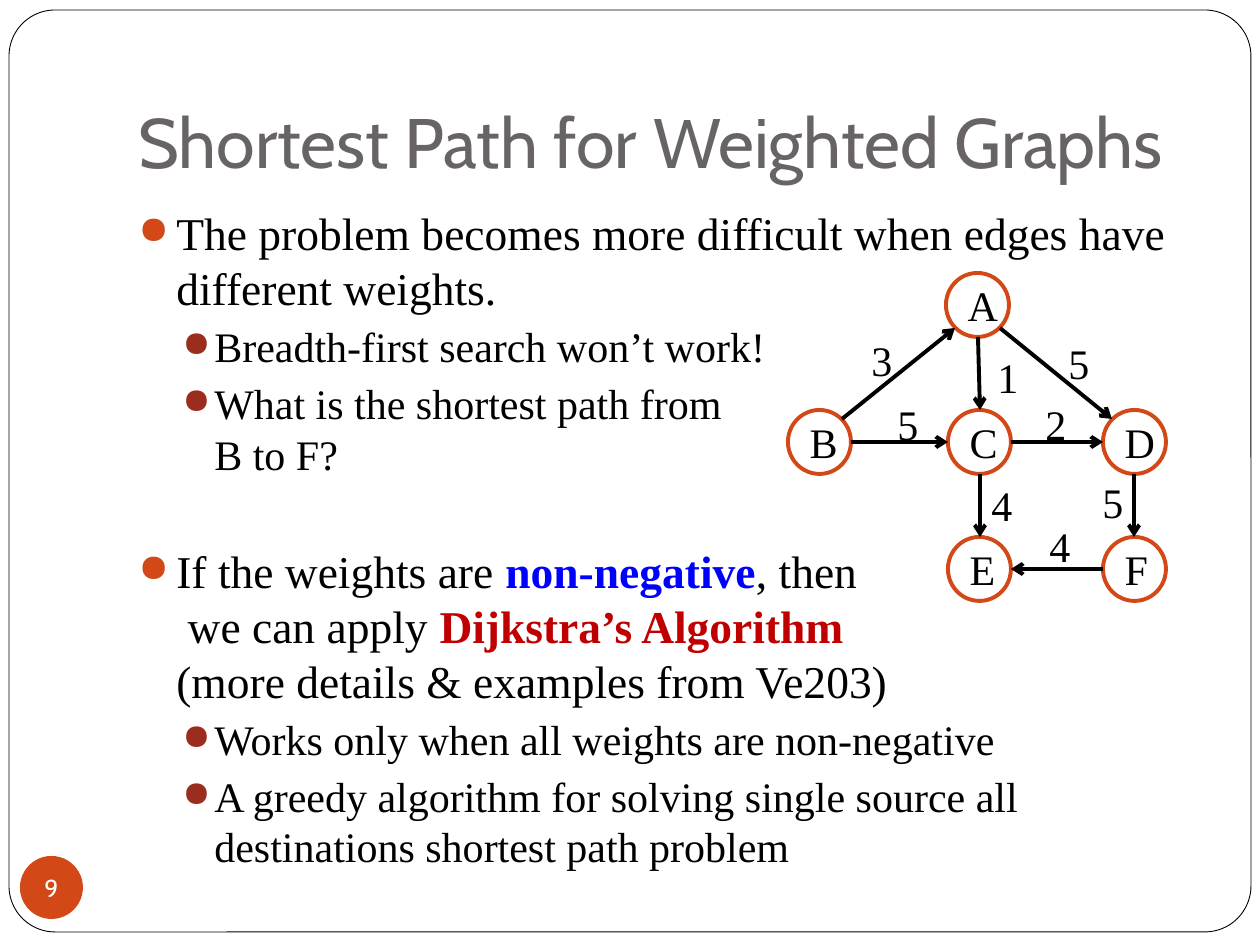
from lxml.etree import SubElement
from pptx import Presentation
from pptx.dml.color import RGBColor
from pptx.enum.shapes import MSO_CONNECTOR as Connector, MSO_SHAPE as Shape
from pptx.enum.text import MSO_ANCHOR as Anchor, MSO_AUTO_SIZE as AutoSize, PP_ALIGN as Align
from pptx.oxml.ns import qn
from pptx.util import Emu, Pt

WHITE = RGBColor(0xFF, 0xFF, 0xFF)
BLACK = RGBColor(0, 0, 0)
GREY = RGBColor(0x69, 0x64, 0x64)
ORANGE = RGBColor(0xD3, 0x48, 0x17)
BRICK = RGBColor(0x9B, 0x2D, 0x1F)
BLUE = RGBColor(0, 0, 0xFF)
RED = RGBColor(0xC0, 0, 0)

HEADING_FONT = "Cabin"
BODY_FONT = "Times New Roman"
EMU_PER_PX = 914400 / 126
NODE_WIDTH, NODE_HEIGHT = 63, 64
LABEL_WIDTH, LABEL_HEIGHT = 45, 63

LEVELS = [
    dict(size=26, indent=38, hang=38, before=5.8, bullet=ORANGE),
    dict(size=24, indent=76, hang=32, before=3.7, bullet=BRICK),
]
POINTS = [
    (0, 0, [("The problem becomes more difficult when edges have different weights.", BLACK)]),
    (1, 0, [("Breadth-first search won’t work!", BLACK)]),
    (1, 0, [("What is the shortest path from\nB to F?", BLACK)]),
    (0, 31.3, [
        ("If the weights are ", BLACK),
        ("non-negative", BLUE),
        (", then\n we can apply ", BLACK),
        ("Dijkstra’s Algorithm\n", RED),
        ("(more details & examples from Ve203)", BLACK),
    ]),
    (1, 0, [("Works only when all weights are non-negative", BLACK)]),
    (1, 0, [("A greedy algorithm for solving single source all "
             "destinations shortest path problem", BLACK)]),
]

LEFT, MIDDLE, RIGHT = 788, 948, 1103
UPPER, LOWER = 410, 537
NODES = {
    "A": (946, 273),
    "B": (LEFT, UPPER), "C": (MIDDLE, UPPER), "D": (RIGHT, UPPER),
    "E": (MIDDLE, LOWER), "F": (RIGHT, LOWER),
}
EDGES = [
    ("B", "A", (1, -1), "3", (859, 328)),
    ("A", "D", (1, 1), "5", (1056, 331)),
    ("B", "C", (1, 0), "5", (885, 392)),
    ("D", "F", (0, 1), "5", (1090, 470)),
    ("C", "D", (1, 0), "2", (1033, 392)),
    ("A", "C", (0, 1), "1", (985, 345)),
    ("F", "E", (-1, 0), "4", (1037, 514)),
    ("C", "E", (0, 1), "4", (979, 473)),
]


def px(length):
    return Emu(round(length * EMU_PER_PX))


def rim_point(node, direction, side):
    left, top = NODES[node]
    across, down = direction
    reach = side / (across ** 2 + down ** 2) ** 0.5
    return (round(left + NODE_WIDTH / 2 * (1 + across * reach)),
            round(top + NODE_HEIGHT / 2 * (1 + down * reach)))


class SlideBuilder:
    def __init__(self, slide):
        self.slide = slide

    def add_text(self, para, text, size, font=BODY_FONT, color=BLACK, bold=False):
        for index, line in enumerate(text.split("\n")):
            if index:
                para.add_line_break()
            if line:
                span = para.add_run()
                span.text = line
                span.font.size = Pt(size)
                span.font.name = font
                span.font.bold = bold
                span.font.color.rgb = color

    def shape(self, kind, left, top, width, height, fill=None, line=None, weight=1.0):
        box = self.slide.shapes.add_shape(kind, px(left), px(top), px(width), px(height))
        box.shadow.inherit = False
        if fill is None:
            box.fill.background()
        else:
            box.fill.solid()
            box.fill.fore_color.rgb = fill
        if line is None:
            box.line.fill.background()
        else:
            box.line.color.rgb = line
            box.line.width = Pt(weight)
        return box

    def frame(self):
        box = self.shape(Shape.ROUNDED_RECTANGLE, 9, 10, 1242, 922, WHITE, BLACK, 0.5)
        box.adjustments[0] = 0.05

    def text_box(self, left, top, width, height, wrap=True):
        box = self.slide.shapes.add_textbox(px(left), px(top), px(width), px(height))
        box.text_frame.word_wrap = wrap
        return box.text_frame

    def title(self, text):
        frame = self.text_box(126, 38, 1071, 157)
        frame.vertical_anchor = Anchor.BOTTOM
        frame.margin_bottom = px(13)
        self.add_text(frame.paragraphs[0], text, 40, HEADING_FONT, GREY)

    def page_number(self, text):
        box = self.shape(Shape.OVAL, 20, 856, 63, 63, ORANGE)
        frame = box.text_frame
        frame.word_wrap = False
        frame.margin_left = frame.margin_right = frame.margin_top = frame.margin_bottom = 0
        frame.paragraphs[0].alignment = Align.CENTER
        self.add_text(frame.paragraphs[0], text, 14, HEADING_FONT, WHITE)

    def bullet(self, para, indent, hang, color):
        props = para._p.get_or_add_pPr()
        props.set("marL", str(px(indent)))
        props.set("indent", str(-px(hang)))
        tint = SubElement(props, qn("a:buClr"))
        SubElement(tint, qn("a:srgbClr"), val=str(color))
        SubElement(props, qn("a:buSzPct"), val="85000")
        SubElement(props, qn("a:buChar"), char="●")

    def bullets(self, points):
        frame = self.text_box(126, 199, 1071, 719)
        for index, (level, gap, pieces) in enumerate(points):
            para = frame.add_paragraph() if index else frame.paragraphs[0]
            style = LEVELS[level]
            para.level = level
            para.space_before = Pt(style["before"] + gap)
            self.bullet(para, style["indent"], style["hang"], style["bullet"])
            for text, color in pieces:
                self.add_text(para, text, style["size"], color=color, bold=color != BLACK)

    def node(self, name, left, top):
        box = self.shape(Shape.OVAL, left, top, NODE_WIDTH, NODE_HEIGHT, line=ORANGE, weight=2.25)
        para = box.text_frame.paragraphs[0]
        para.alignment = Align.CENTER
        self.add_text(para, name, 24)

    def arrow(self, start, end):
        line = self.slide.shapes.add_connector(
            Connector.STRAIGHT, *(px(value) for value in start + end))
        line.line.color.rgb = BLACK
        line.line.width = Pt(2.25)
        SubElement(line.line._get_or_add_ln(), qn("a:tailEnd"), type="arrow")
        SubElement(line._element.spPr, qn("a:effectLst"))

    def weight_label(self, text, left, top):
        frame = self.text_box(left, top, LABEL_WIDTH, LABEL_HEIGHT, wrap=False)
        frame.auto_size = AutoSize.SHAPE_TO_FIT_TEXT
        self.add_text(frame.paragraphs[0], text, 24)


def main():
    deck = Presentation()
    deck.slide_width, deck.slide_height = px(1260), px(945)
    page = SlideBuilder(deck.slides.add_slide(deck.slide_layouts[6]))
    page.frame()
    page.title("Shortest Path for Weighted Graphs")
    page.page_number("9")
    page.bullets(POINTS)
    for name, (left, top) in NODES.items():
        page.node(name, left, top)
    for source, target, direction, _, _ in EDGES:
        page.arrow(rim_point(source, direction, 1), rim_point(target, direction, -1))
    for _, _, _, weight, (left, top) in EDGES:
        page.weight_label(weight, left, top)
    deck.save("out.pptx")


if __name__ == "__main__":
    main()
